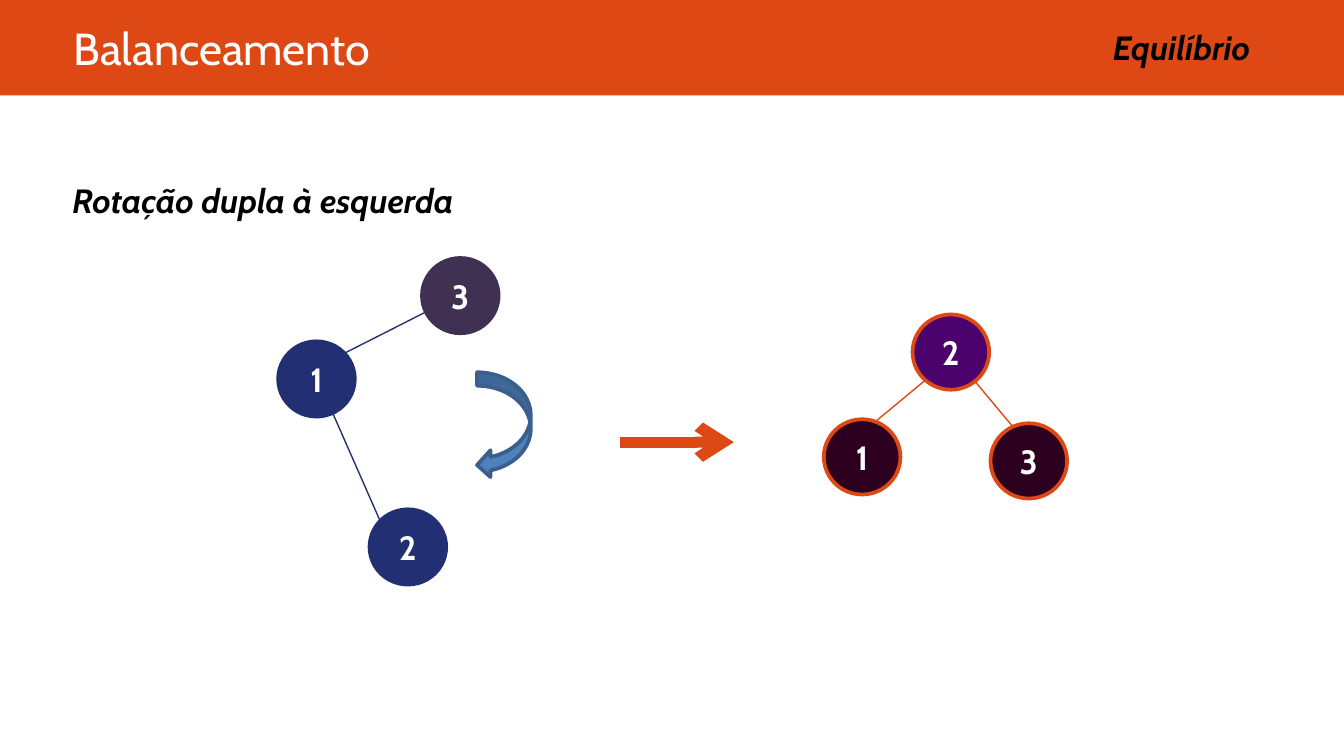
from lxml import etree
from pptx import Presentation
from pptx.dml.color import RGBColor
from pptx.enum import shapes, text
from pptx.oxml import ns
from pptx.util import Inches, Pt

ORANGE = RGBColor(0xDD, 0x48, 0x14)
NAVY = RGBColor(0x23, 0x2F, 0x73)
PLUM = RGBColor(0x40, 0x31, 0x52)
PURPLE = RGBColor(0x4B, 0x02, 0x6D)
AUBERGINE = RGBColor(0x2C, 0x00, 0x1E)
BLUE = RGBColor(0x4F, 0x81, 0xBD)
BLUE_EDGE = RGBColor(0x3A, 0x5F, 0x8C)
WHITE = RGBColor(0xFF, 0xFF, 0xFF)
BLACK = RGBColor(0, 0, 0)
NODE_WIDTH, NODE_HEIGHT = 0.57, 0.56

# Widescreen slide, 16:9
presentation = Presentation()
presentation.slide_width = Inches(10)
presentation.slide_height = Inches(10) * 9 // 16
slide = presentation.slides.add_slide(presentation.slide_layouts[6])


def write(shape, words, size, color, align, bold=True, italic=False):
    paragraph = shape.text_frame.paragraphs[0]
    paragraph.alignment = align
    run = paragraph.add_run()
    run.text = words
    run.font.name = "Cabin"
    run.font.size = Pt(size)
    run.font.bold = bold
    run.font.italic = italic
    run.font.color.rgb = color


def add_line(start, end, color, width):
    line = slide.shapes.add_connector(
        shapes.MSO_CONNECTOR.STRAIGHT, *map(Inches, start + end))
    line.line.color.rgb = color
    line.line.width = Pt(width)
    etree.SubElement(line._element.spPr, ns.qn("a:effectLst"))
    return line


# Header band
band = slide.shapes.add_shape(
    shapes.MSO_SHAPE.RECTANGLE, 0, 0, Inches(10), Inches(0.71))
band.shadow.inherit = False
band.fill.solid()
band.fill.fore_color.rgb = ORANGE
band.line.fill.background()

# Title, topic and subtitle
title = slide.shapes.add_textbox(Inches(0.45), 0, Inches(9.05), Inches(0.71))
frame = title.text_frame
frame.word_wrap = True
frame.vertical_anchor = text.MSO_ANCHOR.MIDDLE
frame.margin_top = frame.margin_bottom = Inches(0.1)
write(title, "Balanceamento", 24, WHITE, text.PP_ALIGN.LEFT, bold=False)

for words, left, top, width, align in (
    ("Equilíbrio", 6.79, 0.15, 2.61, text.PP_ALIGN.RIGHT),
    ("Rotação dupla à esquerda", 0.44, 1.29, 3.44, text.PP_ALIGN.LEFT),
):
    label = slide.shapes.add_textbox(
        Inches(left), Inches(top), Inches(width), Inches(0.4))
    label.text_frame.word_wrap = True
    label.text_frame.auto_size = text.MSO_AUTO_SIZE.SHAPE_TO_FIT_TEXT
    write(label, words, 18, BLACK, align, italic=True)

# Tree edges, behind the nodes
for start, end, color in (
    ((3.25, 2.28), (2.56, 2.63), NAVY),
    ((2.43, 2.97), (2.83, 3.88), NAVY),
    ((6.39, 3.24), (7.1, 2.65), ORANGE),
    ((6.94, 2.46), (7.54, 3.18), ORANGE),
):
    add_line(start, end, color, 0.75)

# Tree nodes: before the rotation, then after it
for key, left, top, fill, edge in (
    ("3", 3.14, 1.92, PLUM, PLUM),
    ("1", 2.07, 2.54, NAVY, NAVY),
    ("2", 2.75, 3.79, NAVY, NAVY),
    ("1", 6.13, 3.12, AUBERGINE, ORANGE),
    ("2", 6.79, 2.34, PURPLE, ORANGE),
    ("3", 7.37, 3.15, AUBERGINE, ORANGE),
):
    node = slide.shapes.add_shape(
        shapes.MSO_SHAPE.OVAL, Inches(left), Inches(top),
        Inches(NODE_WIDTH), Inches(NODE_HEIGHT))
    node.shadow.inherit = False
    node.fill.solid()
    node.fill.fore_color.rgb = fill
    node.line.color.rgb = edge
    node.line.width = Pt(2)
    node.text_frame.vertical_anchor = text.MSO_ANCHOR.MIDDLE
    write(node, key, 18, WHITE, text.PP_ALIGN.CENTER)

# Arrow from the first tree to the second
arrow = add_line((4.61, 3.29), (5.46, 3.29), ORANGE, 6)
etree.SubElement(arrow.line._get_or_add_ln(), ns.qn("a:tailEnd"), type="arrow")

# Rotation arrow
rotation = slide.shapes.add_shape(
    shapes.MSO_SHAPE.CURVED_LEFT_ARROW,
    Inches(3.55), Inches(2.77), Inches(0.4), Inches(0.79))
rotation.shadow.inherit = False
rotation.fill.solid()
rotation.fill.fore_color.rgb = BLUE
rotation.line.color.rgb = BLUE_EDGE
rotation.line.width = Pt(2)

presentation.save("out.pptx")
